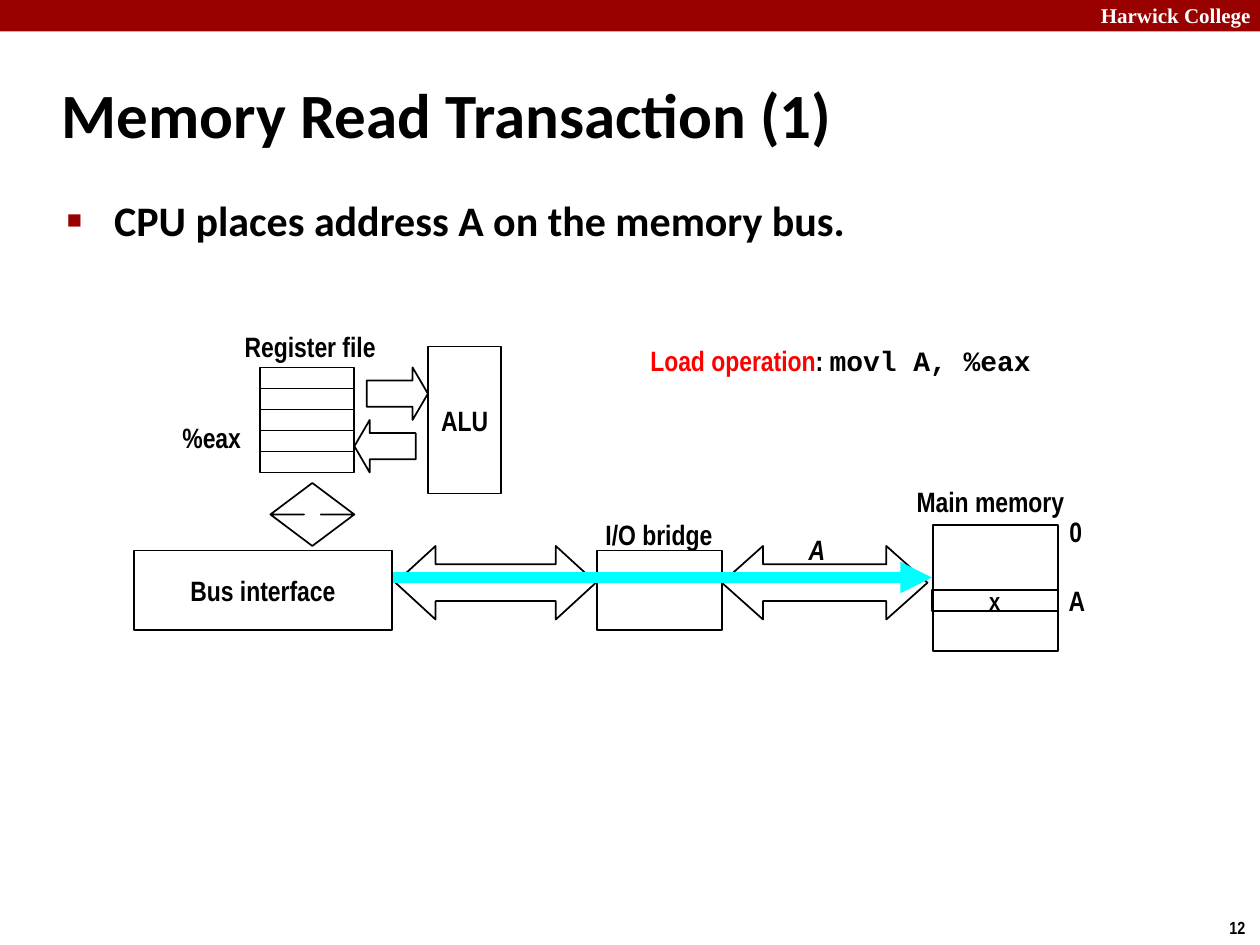
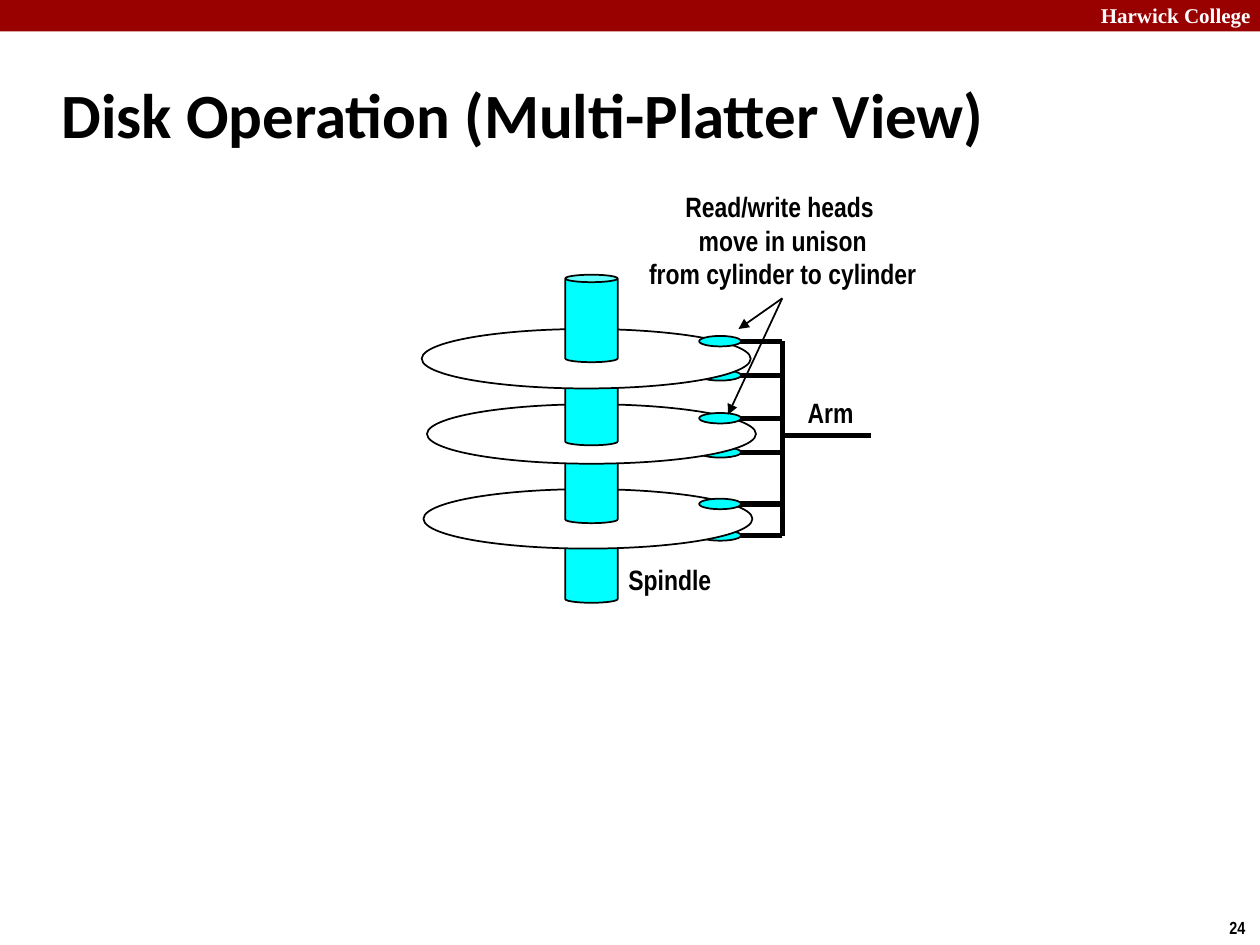
from lxml import etree
from pptx import Presentation
from pptx.dml.color import RGBColor
from pptx.enum.shapes import MSO_CONNECTOR, MSO_SHAPE
from pptx.enum.text import MSO_ANCHOR, MSO_AUTO_SIZE, PP_ALIGN
from pptx.oxml.ns import qn
from pptx.util import Pt

RECT, OVAL, CAN = MSO_SHAPE.RECTANGLE, MSO_SHAPE.OVAL, MSO_SHAPE.CAN
RIGHT, LEFT = MSO_SHAPE.RIGHT_ARROW, MSO_SHAPE.LEFT_ARROW
WIDE, TALL = MSO_SHAPE.LEFT_RIGHT_ARROW, MSO_SHAPE.UP_DOWN_ARROW
STRAIGHT = MSO_CONNECTOR.STRAIGHT
START, MID = PP_ALIGN.LEFT, PP_ALIGN.CENTER
TOP, MIDDLE = MSO_ANCHOR.TOP, MSO_ANCHOR.MIDDLE
GROW, FIXED = MSO_AUTO_SIZE.SHAPE_TO_FIT_TEXT, MSO_AUTO_SIZE.NONE


class Theme:
    red, cyan, black, white, hot = "990000", "00FFFF", "000000", "FFFFFF", "FF0000"
    thin, thick, bus = 1, 3, 6
    type = {
        "title": dict(name="Calibri", size=36),
        "body": dict(name="Calibri", size=24),
        "label": dict(name="Arial Narrow", size=16),
        "italic": dict(name="Arial Narrow", size=16, italic=True),
        "alert": dict(name="Arial Narrow", size=16, color=hot),
        "code": dict(name="Courier New", size=16),
        "cell": dict(name="Arial Narrow", size=14),
        "brand": dict(name="Times New Roman", size=12, color=white),
        "page": dict(name="Arial Narrow", size=10),
    }


# Content: shared frame
BRAND = "Harwick College"
BAND = (0, 0, 720, 18)
BRAND_AT = (622, -2, 103, 22)
PAGE_AT = (695.5, 520.5, 24.5, 19.5)
TITLE_AT = (28, 34.5, 598, 60)
BODY_AT = (31, 107.5, 622, 391.5)

# Content: memory read
READ = dict(page="12", title="Memory Read Transaction (1)",
            points=["CPU places address A on the memory bus."])
REGS = dict(count=5, at=(148.5, 210, 54, 12))
BLOCKS = [  # kind, place, adjustments
    (RECT, (533, 300, 71.5, 72), ()),
    (WIDE, (412.5, 312, 117.5, 42), (0.5, 0.56)),
    (RECT, (341, 314.5, 71.5, 45.5), ()),
    (WIDE, (226, 312, 114.5, 42), (0.5, 0.545)),
    (RIGHT, (209.5, 210, 35, 30), (0.5, 0.292)),
    (LEFT, (202.5, 240, 35, 30), (0.5, 0.292)),
    (TALL, (154.5, 276, 48, 36), (0.5, 0.2)),
]
BUS = ((220.5, 330), (532.5, 330))
NAMED = [  # text, place, fill, style
    ("ALU", (244.5, 198, 42, 84), None, "label"),
    ("Bus interface", (76.5, 314.5, 147.5, 45.5), Theme.white, "label"),
    ("x", (532.5, 337, 72, 12), None, "cell"),
]
TAGS = [  # text, place, style, align
    ("Register file", (132, 184.5, 90.5, 26.5), "label", MID),
    ("A", (453.5, 300.5, 26.5, 26.5), "italic", MID),
    ("0", (604, 290.5, 23, 26.5), "label", START),
    ("A", (603.5, 330, 26, 26.5), "label", START),
    ("Main memory", (516, 273.5, 100, 26.5), "label", MID),
    ("I/O bridge", (338.5, 292, 76, 26.5), "label", MID),
    ("%eax", (97, 236.5, 48, 26.5), "label", MID),
]
LOAD = [("Load operation", "alert"), (": ", "label"), ("movl A, %eax", "code")]
LOAD_AT = (364.5, 192.5, 234.5, 46)

# Content: disk
DISK = dict(page="24", title="Disk Operation (Multi-Platter View)", points=[])
PLATTERS = [(241, 188), (244, 231), (242, 279.5)]
PLATTER = (188, 34)
CANS = [157, 204.5, 249, 294.5]
SPINDLE = dict(left=323, size=(30, 50), adj=(0.142,))
UPPER, LOWER = [195, 239, 288], [214.5, 258.5, 306]
HEAD = dict(left=399.5, size=(24, 6))
POST, TIP, ARM = 447, 411, ((447, 249), (497.5, 249))
HEADS_TEXT = "Read/write heads \nmove in unison\nfrom cylinder to cylinder"
HEADS_AT = (360.5, 104.5, 173.5, 65.5)
HINT, TARGETS = (447, 170.5), [(422, 188), (416, 237)]
DISK_TAGS = [
    ("Arm", (454.5, 222.5, 41, 26.5), "label", START),
    ("Spindle", (351.5, 317.5, 62.5, 26.5), "label", MID),
]


def rgb(code):
    return RGBColor.from_string(code)


def assign(thing, **values):
    for key, value in values.items():
        setattr(thing, key, value)


def place(shape, at):
    assign(shape, **dict(zip(("left", "top", "width", "height"), map(Pt, at))))


def write(frame, text, style="label", align=START, **form):
    """Fill a frame; text is lines of one style or a list of styled runs."""
    assign(frame, **form)
    rows = [text] if isinstance(text, list) else [
        [(row, style)] for row in text.split("\n")]
    for i, row in enumerate(rows):
        para = frame.add_paragraph() if i else frame.paragraphs[0]
        para.alignment = align
        for words, kind in row:
            run = para.add_run()
            run.text = words
            look = dict(Theme.type[kind], bold=True)
            run.font.color.rgb = rgb(look.pop("color", Theme.black))
            look["size"] = Pt(look["size"])
            assign(run.font, **look)


def note(slide, at, text, style="label", align=START, wrap=False, anchor=MIDDLE):
    box = slide.shapes.add_textbox(*map(Pt, at))
    write(box.text_frame, text, style, align, word_wrap=wrap,
          auto_size=GROW, vertical_anchor=anchor)


def draw(slide, kind, at, fill=None, adj=(), line=Theme.black):
    shape = slide.shapes.add_shape(kind, *map(Pt, at))
    shape.shadow.inherit = False
    for i, value in enumerate(adj):
        shape.adjustments[i] = value
    if fill:
        shape.fill.solid()
        shape.fill.fore_color.rgb = rgb(fill)
    else:
        shape.fill.background()
    if line:
        shape.line.color.rgb = rgb(line)
        shape.line.width = Pt(Theme.thin)
    else:
        shape.line.fill.background()
    return shape


def wire(slide, start, end, width=Theme.thick, color=Theme.black, arrow=False):
    link = slide.shapes.add_connector(STRAIGHT, *map(Pt, start + end))
    link.line.color.rgb = rgb(color)
    link.line.width = Pt(width)
    if arrow:
        etree.SubElement(link.line._get_or_add_ln(), qn("a:tailEnd"), type="triangle")
    etree.SubElement(link._element.spPr, qn("a:effectLst"))


def indent(para, left, first):
    props = para._p.get_or_add_pPr()
    props.set("marL", str(Pt(left)))
    props.set("indent", str(Pt(first)))
    return props


def bullet(para):
    props = indent(para, 27, -27)
    tint = etree.SubElement(props, qn("a:buClr"))
    etree.SubElement(tint, qn("a:srgbClr"), val=Theme.red)
    etree.SubElement(props, qn("a:buSzPct"), val="60000")
    etree.SubElement(props, qn("a:buChar"), char="■")


def page(deck, data):
    """Add a slide with band, brand, number, title and optional list."""
    slide = deck.slides.add_slide(deck.slide_layouts[1 if data["points"] else 5])
    draw(slide, RECT, BAND, Theme.red, line=None)
    note(slide, BRAND_AT, BRAND, "brand", wrap=True, anchor=TOP)
    note(slide, PAGE_AT, data["page"], "page", anchor=TOP)
    title = slide.shapes.title
    place(title, TITLE_AT)
    write(title.text_frame, data["title"], "title",
          auto_size=FIXED, vertical_anchor=MIDDLE)
    indent(title.text_frame.paragraphs[0], 9.5, -9.5)
    if data["points"]:
        body = slide.placeholders[1]
        place(body, BODY_AT)
        write(body.text_frame, "\n".join(data["points"]), "body", auto_size=FIXED)
        for para in body.text_frame.paragraphs:
            bullet(para)
    return slide


def read_page(deck):
    slide = page(deck, READ)
    # Hardware blocks and register rows
    for kind, at, adj in BLOCKS:
        draw(slide, kind, at, adj=adj)
    x, y, w, h = REGS["at"]
    for i in range(REGS["count"]):
        draw(slide, RECT, (x, y + i * h, w, h))
    # Address path lies under the named blocks
    wire(slide, *BUS, Theme.bus, Theme.cyan, arrow=True)
    for text, at, fill, style in NAMED:
        box = draw(slide, RECT, at, fill)
        write(box.text_frame, text, style, MID,
              word_wrap=False, vertical_anchor=MIDDLE)
    for tag in TAGS:
        text, at, style, align = tag
        note(slide, at, text, style, align)
    note(slide, LOAD_AT, LOAD, anchor=TOP)


def disk_page(deck):
    slide = page(deck, DISK)

    def heads(levels):
        wide, high = HEAD["size"]
        for y in levels:
            wire(slide, (POST, y), (TIP, y))
            draw(slide, OVAL, (HEAD["left"], y - high / 2, wide, high), Theme.cyan)

    def can(top):
        draw(slide, CAN, (SPINDLE["left"], top, *SPINDLE["size"]),
             Theme.cyan, SPINDLE["adj"])

    # Stack from the bottom up, lower heads behind the platters
    heads(LOWER)
    for spot, top in reversed(list(zip(PLATTERS, CANS[1:]))):
        can(top)
        draw(slide, OVAL, spot + PLATTER, Theme.white)
    can(CANS[0])
    heads(UPPER)
    # Arm
    wire(slide, (POST, UPPER[0]), (POST, LOWER[-1]))
    wire(slide, *ARM)
    # Labels and pointers
    for text, at, style, align in DISK_TAGS:
        note(slide, at, text, style, align)
    note(slide, HEADS_AT, HEADS_TEXT, align=MID, wrap=True)
    for target in TARGETS:
        wire(slide, HINT, target, Theme.thin, arrow=True)


deck = Presentation()
assign(deck, slide_width=Pt(720), slide_height=Pt(540))
read_page(deck)
disk_page(deck)
deck.save("out.pptx")
